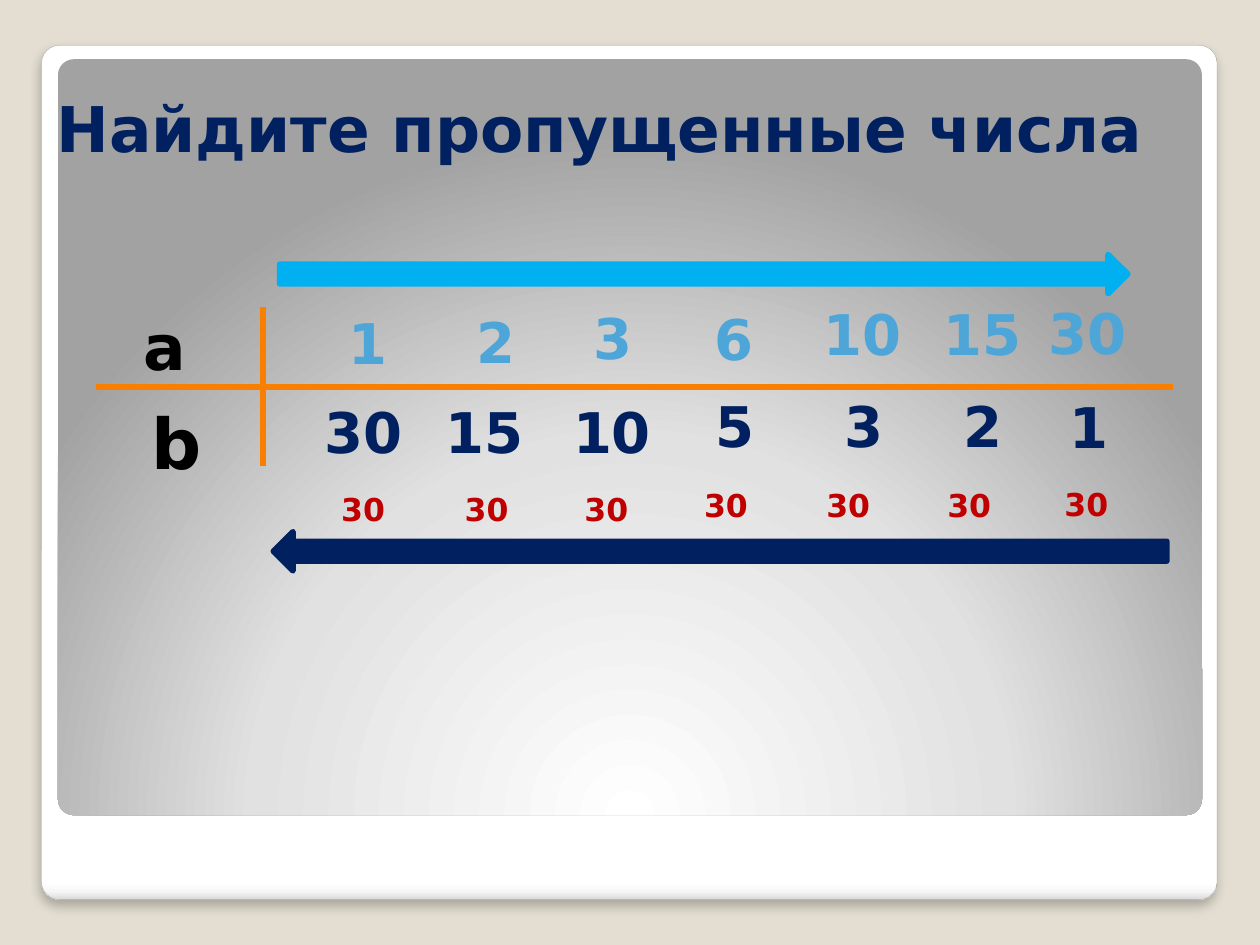
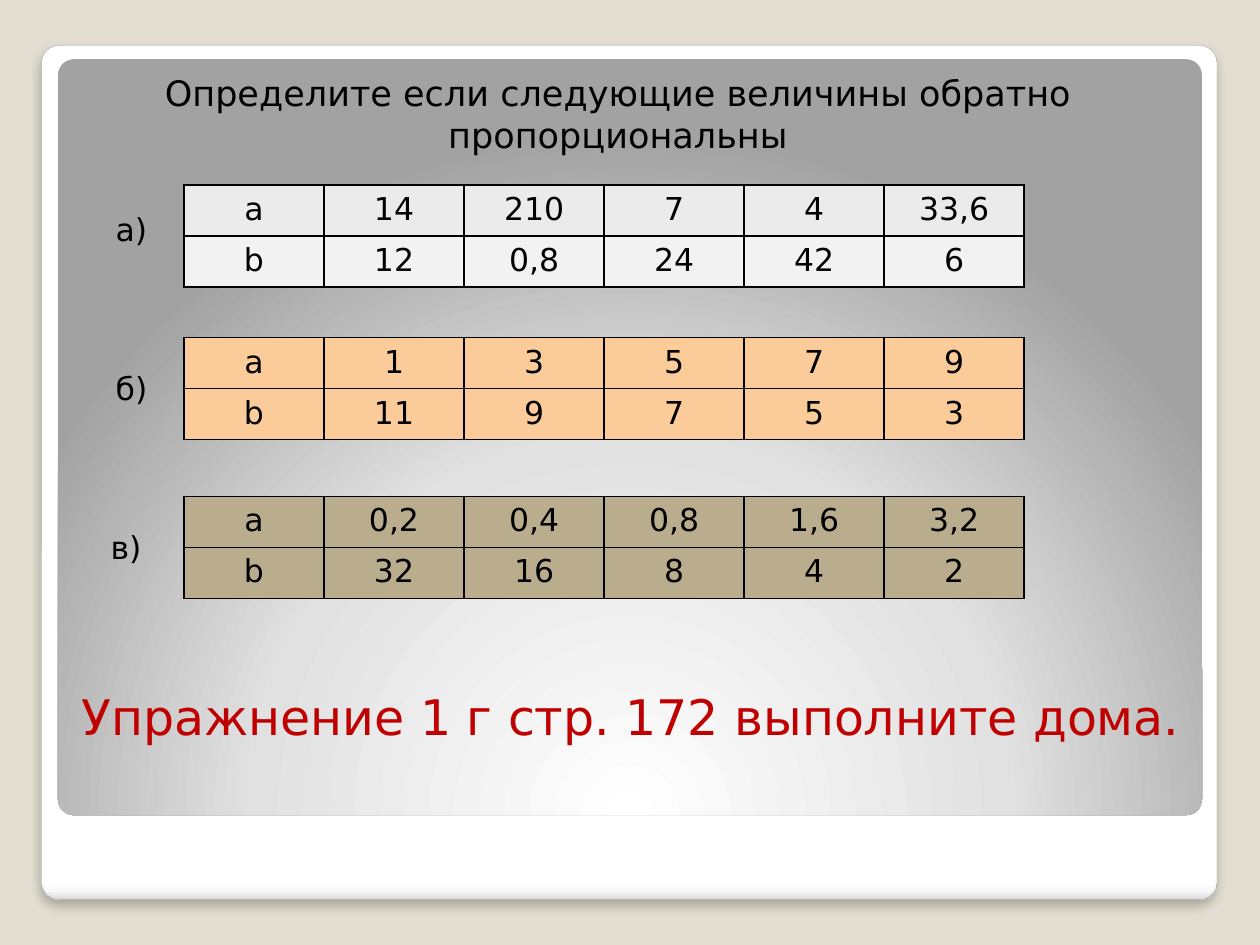
from pptx import Presentation
from pptx import util as u
from pptx.dml.color import RGBColor
from pptx.enum import shapes, text
from pptx.oxml import parse_xml
from pptx.oxml.ns import nsdecls

FONT = "DejaVu Sans"
SAND = RGBColor(0xE3, 0xDE, 0xD1)
GREY = RGBColor(0xA4, 0xA4, 0xA4)
BLACK = RGBColor(0x00, 0x00, 0x00)
NAVY = RGBColor(0x00, 0x20, 0x60)
SKY = RGBColor(0x00, 0xB0, 0xF0)
BLUE = RGBColor(0x4E, 0xA5, 0xD8)
ORANGE = RGBColor(0xF9, 0x7F, 0x00)
RED = RGBColor(0xC0, 0x00, 0x00)
LIGHT = RGBColor(0xEB, 0xEB, 0xEB)
PALE = RGBColor(0xF2, 0xF2, 0xF2)
PEACH = RGBColor(0xFB, 0xCC, 0x9A)
KHAKI = RGBColor(0xBA, 0xAD, 0x8D)

LEFT, CENTER = text.PP_ALIGN.LEFT, text.PP_ALIGN.CENTER
TOP, BOTTOM = text.MSO_ANCHOR.TOP, text.MSO_ANCHOR.BOTTOM


def write(frame, words, size, color, bold=False, align=LEFT):
    paragraph = frame.paragraphs[0]
    paragraph.alignment = align
    run = paragraph.add_run()
    run.text = words
    style = {"name": FONT, "size": u.Pt(size), "bold": bold}
    for attribute, value in style.items():
        setattr(run.font, attribute, value)
    run.font.color.rgb = color


def add_text(slide, box, words, size, color, bold=False, align=LEFT,
             wrap=False, anchor=TOP):
    frame = slide.shapes.add_textbox(*map(u.Inches, box)).text_frame
    layout = {"word_wrap": wrap, "vertical_anchor": anchor}
    for attribute, value in layout.items():
        setattr(frame, attribute, value)
    write(frame, words, size, color, bold, align)


prs = Presentation()
prs.slide_width, prs.slide_height = u.Inches(10), u.Inches(7.5)
prs.slide_master.background.fill.solid()
prs.slide_master.background.fill.fore_color.rgb = SAND
missing, tables = [prs.slides.add_slide(prs.slide_layouts[6]) for _ in range(2)]

# Shared frame: white card and grey gradient panel
card_stops = [(0, "FFFFFF"), (98, "FFFFFF"), (99, "F7F7F7"), (100, "DADADA")]
panel_stops = [(0, "FFFFFF"), (55, "E1E1E1"), (100, "A2A2A2")]
card_direction = '<a:lin ang="5400000" scaled="0"/>'
panel_direction = ('<a:path path="circle"><a:fillToRect l="50000" t="175000" '
                   'r="50000" b="-75000"/></a:path>')
frame_parts = [
    ((0.33, 0.36, 9.33, 6.78), card_stops, card_direction),
    ((0.46, 0.47, 9.08, 6), panel_stops, panel_direction),
]
for slide in (missing, tables):
    for box, stops, direction in frame_parts:
        part = slide.shapes.add_shape(
            shapes.MSO_SHAPE.ROUNDED_RECTANGLE, *map(u.Inches, box))
        part.adjustments[0] = 0.021
        part.shadow.inherit = False
        stop_xml = "".join(
            f'<a:gs pos="{pos * 1000}"><a:srgbClr val="{color}"/></a:gs>'
            for pos, color in stops)
        properties = part._element.spPr
        properties.prstGeom.addnext(parse_xml(
            f'<a:gradFill {nsdecls("a")} rotWithShape="1">'
            f'<a:gsLst>{stop_xml}</a:gsLst>{direction}</a:gradFill>'))
        if stops is card_stops:
            part.line.color.rgb = GREY
            part.line.width = u.Pt(0.16)
            properties.find("{*}effectLst").append(parse_xml(
                f'<a:outerShdw {nsdecls("a")} blurRad="{u.Pt(6)}" '
                f'dist="{u.Pt(4)}" dir="5400000" algn="t" rotWithShape="0">'
                '<a:srgbClr val="000000"><a:alpha val="25000"/></a:srgbClr>'
                '</a:outerShdw>'))
        else:
            part.line.fill.background()

# Slide 1: title
add_text(missing, (0.35, 0.21, 8.95, 1.15), "Найдите пропущенные числа",
         36, NAVY, bold=True, wrap=True, anchor=BOTTOM)

# Axes of the number grid
for ends in [(0.76, 3.07, 9.31, 3.07), (2.09, 3.7, 2.09, 2.44)]:
    axis = missing.shapes.add_connector(
        shapes.MSO_CONNECTOR.STRAIGHT, *map(u.Inches, ends))
    axis.line.color.rgb = ORANGE
    axis.line.width = u.Pt(3.25)
    axis._element.spPr.append(parse_xml(f'<a:effectLst {nsdecls("a")}/>'))

# Row names
add_text(missing, (1.04, 2.39, 0.54, 0.71), "a", 36, BLACK, True, CENTER)
add_text(missing, (1.1, 3.12, 0.59, 0.77), "b", 40, BLACK, True, CENTER)

# Direction arrows
for kind, box, color in [
    (shapes.MSO_SHAPE.RIGHT_ARROW, (2.22, 2.02, 6.73, 0.31), SKY),
    (shapes.MSO_SHAPE.LEFT_ARROW, (2.17, 4.22, 7.09, 0.31), NAVY),
]:
    arrow = missing.shapes.add_shape(kind, *map(u.Inches, box))
    arrow.shadow.inherit = False
    arrow.fill.solid()
    arrow.fill.fore_color.rgb = color
    arrow.line.color.rgb = color
    arrow.line.width = u.Pt(3.35)

# Values of a, values of b and their products: (left, top, number)
a_values = [(2.67, 2.4, 1), (3.68, 2.39, 2), (4.61, 2.36, 3), (5.57, 2.37, 6),
            (6.44, 2.33, 10), (7.39, 2.33, 15), (8.22, 2.32, 30)]
b_values = [(2.48, 3.11, 30), (3.44, 3.11, 15), (4.45, 3.11, 10),
            (5.58, 3.06, 5), (6.6, 3.06, 3), (7.55, 3.06, 2), (8.39, 3.07, 1)]
products = [(2.61, 3.84, 30), (3.59, 3.84, 30), (4.54, 3.84, 30),
            (5.49, 3.81, 30), (6.46, 3.81, 30), (7.42, 3.81, 30),
            (8.35, 3.8, 30)]
for values, size, height, color in [
    (a_values, 32, 0.64, BLUE),
    (b_values, 32, 0.64, NAVY),
    (products, 18, 0.4, RED),
]:
    for left, top, number in values:
        width = 0.56 if size == 18 else 0.52 if number < 10 else 0.84
        add_text(missing, (left, top, width, height), str(number), size, color,
                 bold=True)

# Slide 2: title
add_text(tables, (0.43, 0.13, 8.95, 1.15),
         "Определите если следующие величины обратно пропорциональны",
         20, BLACK, align=CENTER, wrap=True, anchor=BOTTOM)

# Three labelled tables of a and b
exercises = [
    ("a)", 0.82, 1.62, 1.47, (LIGHT, PALE),
     ["a 14 210 7 4 33,6", "b 12 0,8 24 42 6"]),
    ("б)", 0.82, 2.88, 2.68, (PEACH, PEACH),
     ["a 1 3 5 7 9", "b 11 9 7 5 3"]),
    ("в)", 0.78, 4.14, 3.94, (KHAKI, KHAKI),
     ["a 0,2 0,4 0,8 1,6 3,2", "b 32 16 8 4 2"]),
]
for label, label_left, label_top, top, fills, rows in exercises:
    add_text(tables, (label_left, label_top, 0.47, 0.4), label, 18, BLACK)
    grid = tables.shapes.add_table(
        2, 6, *map(u.Inches, (1.46, top, 6.67, 0.81))).table
    for r, (row, fill) in enumerate(zip(rows, fills)):
        for c, value in enumerate(row.split()):
            cell = grid.cell(r, c)
            write(cell.text_frame, value, 18, BLACK, align=CENTER)
            for side in "LRTB":
                cell._tc.get_or_add_tcPr().append(parse_xml(
                    f'<a:ln{side} {nsdecls("a")} w="{u.Pt(1)}"><a:solidFill>'
                    f'<a:srgbClr val="{BLACK}"/></a:solidFill></a:ln{side}>'))
            cell.fill.solid()
            cell.fill.fore_color.rgb = fill

# Homework
add_text(tables, (0.51, 5.4, 8.99, 0.57),
         "Упражнение 1 г стр. 172 выполните дома.", 28, RED, align=CENTER)

prs.save("out.pptx")
